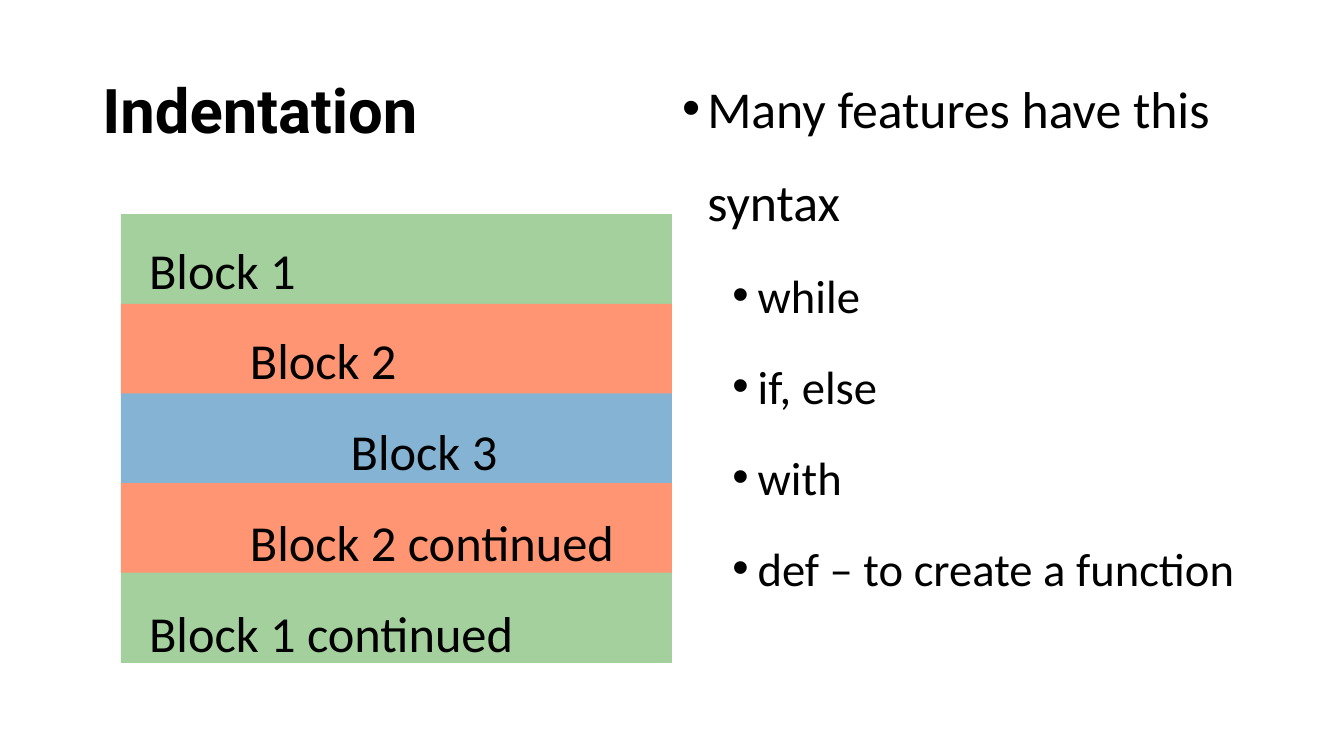
from lxml import etree
from pptx import Presentation
from pptx.dml.color import RGBColor
from pptx.enum.shapes import MSO_SHAPE as SHAPE
from pptx.enum.text import MSO_ANCHOR as ANCHOR, MSO_AUTO_SIZE as AUTO, PP_ALIGN as ALIGN
from pptx.oxml.ns import qn
from pptx.util import Pt

COLORS = {"text": "000000", "green": "A4D09D", "orange": "FF9573", "blue": "85B3D3"}
LEVEL_COLORS = ["green", "orange", "blue"]
BLOCKS = [("Block 1", 0), ("Block 2", 1), ("Block 3", 2),
          ("Block 2 continued", 1), ("Block 1 continued", 0)]
FEATURES = [("Many features have this syntax", 0), ("while", 1), ("if, else", 1),
            ("with", 1), ("def – to create a function", 1)]


def place(sp, left, top, width, height):
    sp.left, sp.top, sp.width, sp.height = Pt(left), Pt(top), Pt(width), Pt(height)


def prepare_frame(sp, anchor=ANCHOR.TOP):
    tf = sp.text_frame
    tf.word_wrap = True
    tf.auto_size = AUTO.NONE
    tf.vertical_anchor = anchor
    return tf


def add_text(tf, text, size, font="Calibri", bold=False, spacing=1.5, before=0,
             level=0, margin=0, indent=0, bullet=None):
    """Fill the empty first paragraph of tf, or append a new one."""
    p = tf.paragraphs[0] if not tf.text else tf.add_paragraph()
    p.alignment, p.level = ALIGN.LEFT, level
    p.line_spacing, p.space_before = spacing, Pt(before)
    r = p.add_run()
    r.text = text
    r.font.name, r.font.size, r.font.bold = font, Pt(size), bold
    r.font.color.rgb = RGBColor.from_string(COLORS["text"])
    pPr = p._p.get_or_add_pPr()
    pPr.set("marL", str(Pt(margin)))
    pPr.set("indent", str(Pt(indent)))
    if bullet:
        etree.SubElement(pPr, qn("a:buFont")).set("typeface", "Arial")
        etree.SubElement(pPr, qn("a:buChar")).set("char", bullet)


def add_title(s, text):
    place(s.shapes.title, 66, 28.75, 828, 104.4)
    add_text(prepare_frame(s.shapes.title, ANCHOR.MIDDLE), text, 44,
             font="Roboto", bold=True, spacing=0.9)


def add_features(s):
    body = s.placeholders[1]
    place(body, 480, 28.75, 414, 458)
    tf = prepare_frame(body)
    for text, level in FEATURES:
        add_text(tf, text, 33.3 if level else 37, before=5 if level else 10,
                 level=level, margin=18 + 36 * level, indent=-18, bullet="•")


def add_blocks(s):
    """Stack one bar per block, with a shared text box on top."""
    bars = s.shapes.add_group_shape()
    for i, (_, level) in enumerate(BLOCKS):
        bar = bars.shapes.add_shape(SHAPE.RECTANGLE, Pt(86.4), Pt(153 + 64 * i),
                                    Pt(393.6), Pt(64.5))
        bar.shadow.inherit = False
        bar.fill.solid()
        bar.fill.fore_color.rgb = RGBColor.from_string(COLORS[LEVEL_COLORS[level]])
        bar.line.fill.background()
    box = s.shapes.add_textbox(Pt(99.4), Pt(145.4), Pt(447), Pt(327.6))
    tf = prepare_frame(box)
    for text, level in BLOCKS:
        add_text(tf, text, 36, margin=72 * level)


def main():
    prs = Presentation()
    prs.slide_width, prs.slide_height = Pt(960), Pt(540)
    s = prs.slides.add_slide(prs.slide_layouts[1])
    add_title(s, "Indentation")
    add_features(s)
    add_blocks(s)
    prs.save("out.pptx")


if __name__ == "__main__":
    main()
